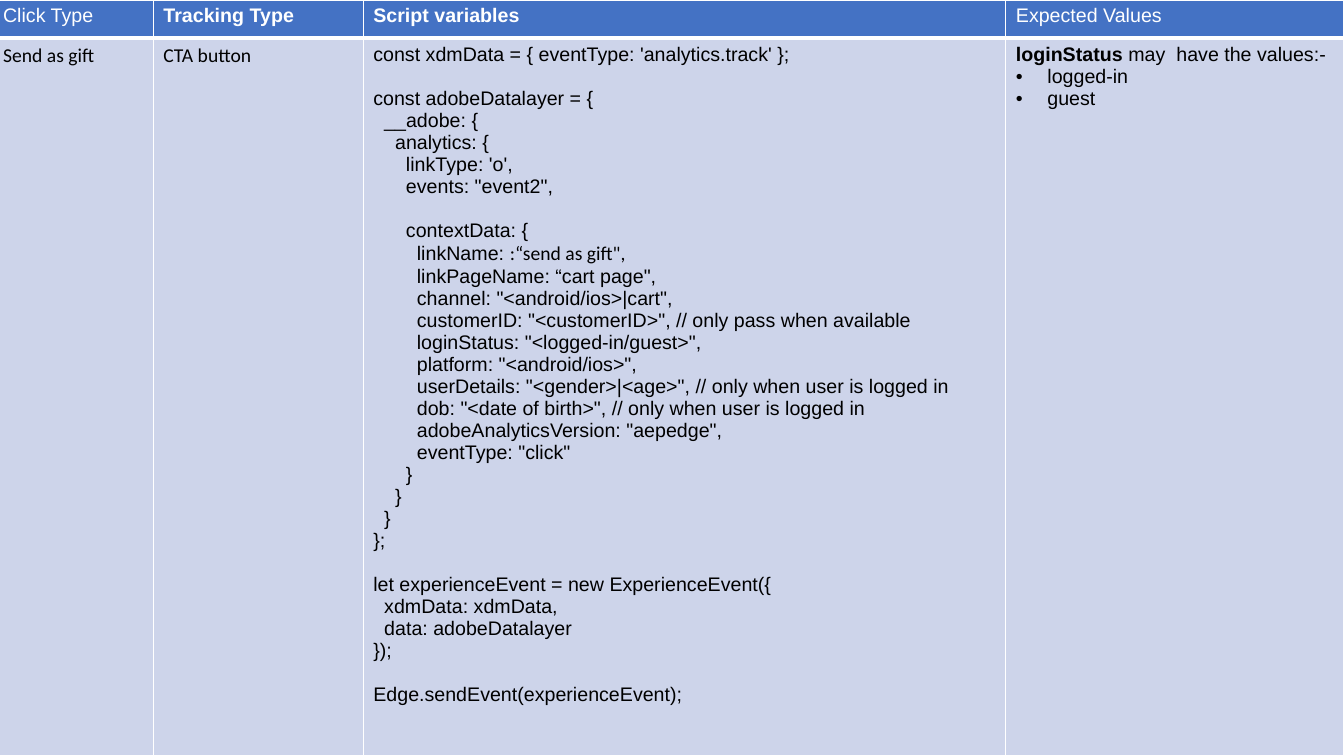
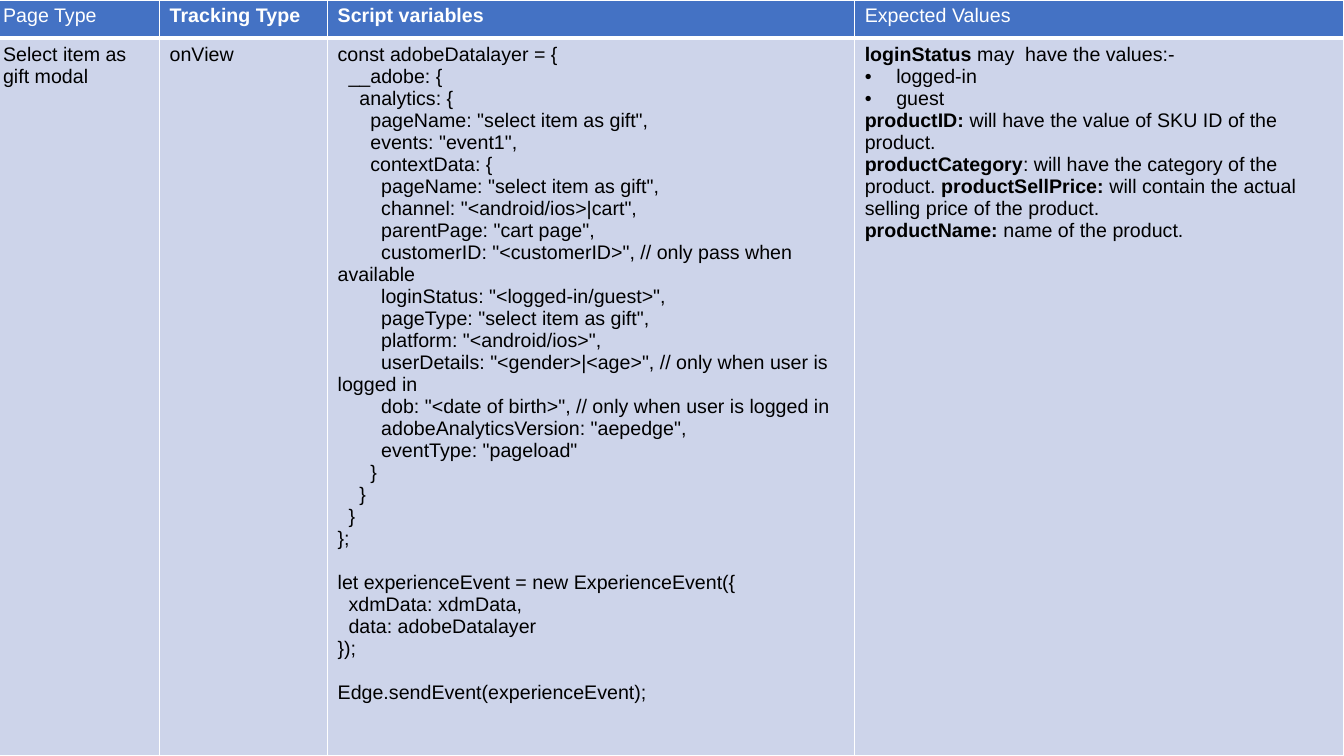
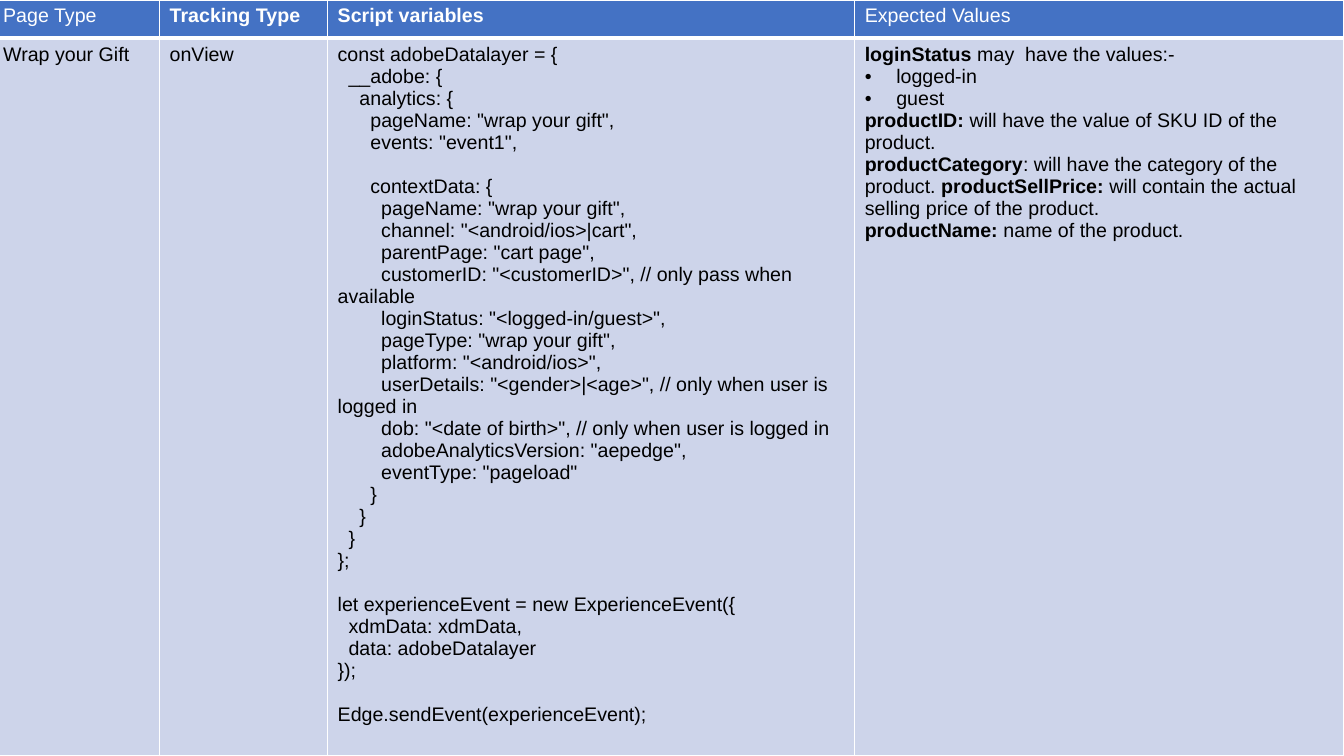
from dataclasses import dataclass

from lxml import etree
from pptx import Presentation
from pptx.dml.color import RGBColor
from pptx.oxml.ns import qn
from pptx.util import Pt


@dataclass(frozen=True)
class Theme:
    header_fill: str = "4472C4"
    body_fill: str = "CDD4EA"
    header_text: str = "FFFFFF"
    body_text: str = "000000"
    border: str = "FFFFFF"
    font: str = "Arial"
    alternate_font: str = "Calibri"
    size: float = 14
    code_gap: float = 15.7
    bullet_indent: float = 22.5
    thin: float = 1
    thick: float = 3


THEME = Theme()
SLIDE_WIDTH, SLIDE_HEIGHT = 960, 540
TABLE_LEFT = -5
HEADER_HEIGHT = 27.4
BULLET = "• "
BOLD_MARK, ALTERNATE_MARK = "**", "`"
CLICK_COLUMNS = (114.5, 150, 459, 241.5)
PAGE_COLUMNS = (119, 120, 376.5, 349.5)

SEND_CODE = """

let experienceEvent = new ExperienceEvent({
  xdmData: xdmData,
  data: adobeDatalayer
});

Edge.sendEvent(experienceEvent);"""

CLICK_CODE = """const xdmData = { eventType: 'analytics.track' };

const adobeDatalayer = {
  __adobe: {
    analytics: {
      linkType: 'o',
      events: "event2",

      contextData: {
        linkName: `:“send as gift",`
        linkPageName: “cart page",
        channel: "<android/ios>|cart",
        customerID: "<customerID>", // only pass when available
        loginStatus: "<logged-in/guest>",
        platform: "<android/ios>",
        userDetails: "<gender>|<age>", // only when user is logged in
        dob: "<date of birth>", // only when user is logged in
        adobeAnalyticsVersion: "aepedge",
        eventType: "click"
      }
    }
  }
};""" + SEND_CODE

PAGE_CODE = """const adobeDatalayer = {
  __adobe: {
    analytics: {
      pageName: "PAGE_NAME",
      events: "event1",

      contextData: {
        pageName: "PAGE_NAME",
        channel: "<android/ios>|cart",
        parentPage: "cart page",
        customerID: "<customerID>", // only pass when available
        loginStatus: "<logged-in/guest>",
        pageType: "PAGE_NAME",
        platform: "<android/ios>",
        userDetails: "<gender>|<age>", // only when user is logged in
        dob: "<date of birth>", // only when user is logged in
        adobeAnalyticsVersion: "aepedge",
        eventType: "pageload"
      }
    }
  }
};""" + SEND_CODE

LOGIN_VALUES = """**loginStatus **may  have the values:-
• logged-in
• guest"""

PRODUCT_VALUES = LOGIN_VALUES + """
**productID:** will have the value of SKU ID of the product.
**productCategory**: will have the category of the product. **productSellPrice: **will contain the actual selling price of the product.
**productName: **name of the product."""

SHARED_HEADINGS = ("**Tracking Type**", "**Script variables**", "Expected Values")

SLIDES = [
    {
        "columns": CLICK_COLUMNS,
        "heading": "Click Type",
        "body": ("`Send as gift`", "`CTA button`", CLICK_CODE, LOGIN_VALUES),
    },
    {
        "columns": PAGE_COLUMNS,
        "heading": "Page Type",
        "body": (
            "Select item as gift modal",
            "onView",
            PAGE_CODE.replace("PAGE_NAME", "select item as gift").replace(
                "\n\n      contextData", "\n      contextData"
            ),
            PRODUCT_VALUES,
        ),
    },
    {
        "columns": PAGE_COLUMNS,
        "heading": "Page Type",
        "body": (
            "Wrap your Gift",
            "onView",
            PAGE_CODE.replace("PAGE_NAME", "wrap your gift"),
            PRODUCT_VALUES,
        ),
    },
]


def add_bullet(paragraph):
    properties = paragraph._p.get_or_add_pPr()
    properties.set("marL", str(Pt(THEME.bullet_indent)))
    properties.set("indent", str(-Pt(THEME.bullet_indent)))
    color = etree.SubElement(properties, qn("a:buClr"))
    etree.SubElement(color, qn("a:srgbClr"), val=THEME.body_text)
    etree.SubElement(properties, qn("a:buFont"), typeface=THEME.font)
    etree.SubElement(properties, qn("a:buChar"), char=BULLET.strip())


def add_spans(paragraph, line):
    for bold_index, part in enumerate(line.split(BOLD_MARK)):
        for font_index, text in enumerate(part.split(ALTERNATE_MARK)):
            if not text:
                continue
            span = paragraph.add_run()
            span.text = text
            if bold_index % 2:
                span.font.bold = True
            if font_index % 2:
                span.font.name = THEME.alternate_font


def fill_text(cell, text, color):
    frame = cell.text_frame
    paragraph = frame.paragraphs[0]
    gap = False
    for index, line in enumerate(text.split("\n")):
        if not line:
            gap = True
            continue
        if index:
            paragraph = frame.add_paragraph()
        if line.startswith(BULLET):
            add_bullet(paragraph)
            line = line[len(BULLET):]
        if gap:
            paragraph.space_before = Pt(THEME.code_gap)
            gap = False
        font = paragraph.font
        font.name = THEME.font
        font.size = Pt(THEME.size)
        font.bold = False
        font.color.rgb = RGBColor.from_string(color)
        add_spans(paragraph, line)


def style_cell(cell, fill, top, bottom):
    properties = cell._tc.get_or_add_tcPr()
    widths = {"lnL": THEME.thin, "lnR": THEME.thin, "lnT": top, "lnB": bottom}
    for side, width in widths.items():
        line = etree.SubElement(properties, qn(f"a:{side}"), w=str(Pt(width)))
        solid = etree.SubElement(line, qn("a:solidFill"))
        etree.SubElement(solid, qn("a:srgbClr"), val=THEME.border)
    cell.fill.solid()
    cell.fill.fore_color.rgb = RGBColor.from_string(fill)


def add_tracking_table(page, content):
    columns = content["columns"]
    table = page.shapes.add_table(
        2, len(columns), Pt(TABLE_LEFT), Pt(0), Pt(sum(columns)), Pt(SLIDE_HEIGHT)
    ).table
    table.first_row = False
    table.horz_banding = False
    for column, width in zip(table.columns, columns):
        column.width = Pt(width)
    rows = (
        ((content["heading"], *SHARED_HEADINGS), HEADER_HEIGHT,
         THEME.header_fill, THEME.header_text, THEME.thin, THEME.thick),
        (content["body"], SLIDE_HEIGHT - HEADER_HEIGHT,
         THEME.body_fill, THEME.body_text, THEME.thick, THEME.thin),
    )
    for row, (texts, height, fill, color, top, bottom) in zip(table.rows, rows):
        row.height = Pt(height)
        for cell, text in zip(row.cells, texts):
            style_cell(cell, fill, top, bottom)
            fill_text(cell, text, color)


def main():
    deck = Presentation()
    deck.slide_width, deck.slide_height = Pt(SLIDE_WIDTH), Pt(SLIDE_HEIGHT)
    blank = deck.slide_layouts[6]
    for content in SLIDES:
        add_tracking_table(deck.slides.add_slide(blank), content)
    deck.save("out.pptx")


if __name__ == "__main__":
    main()
